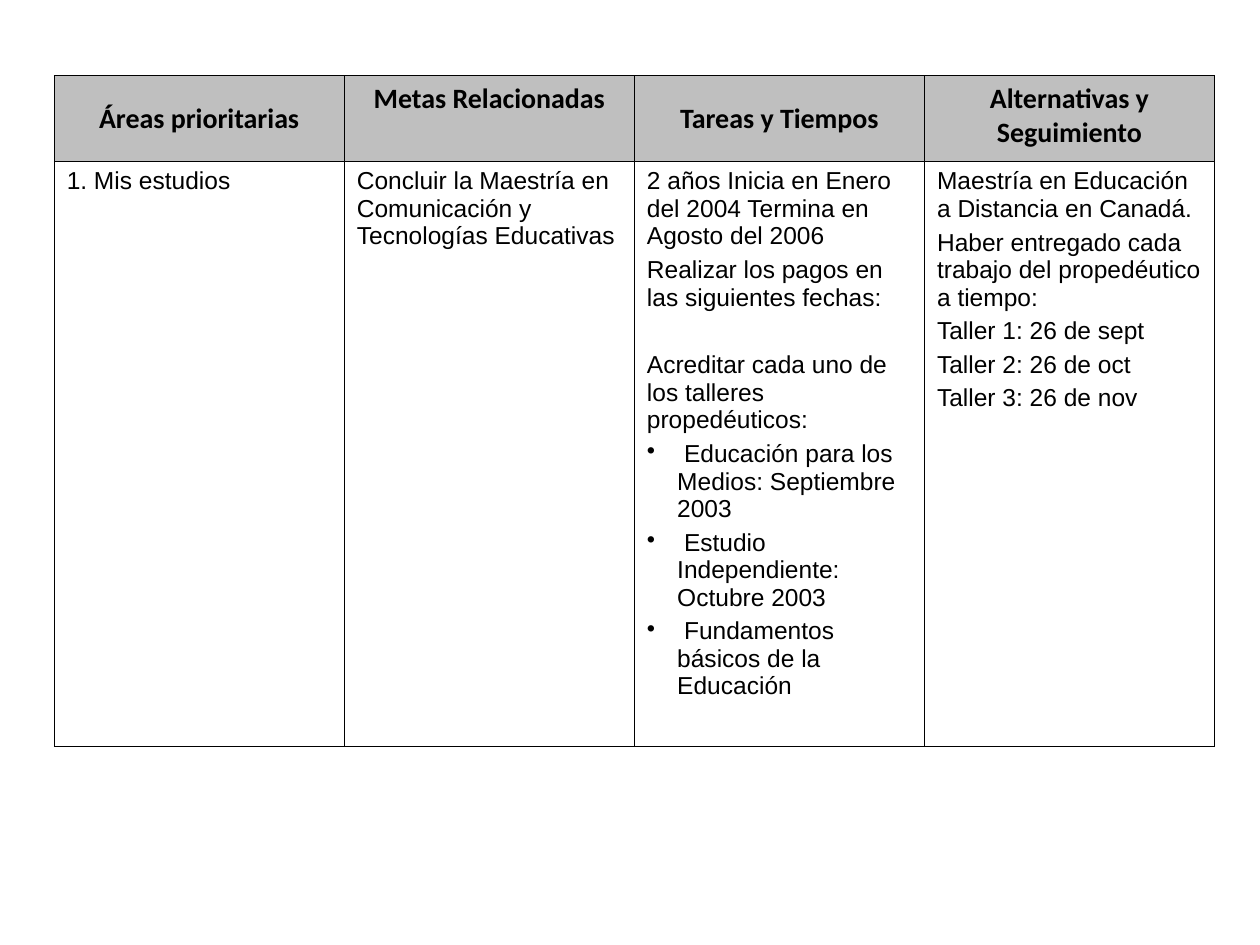
from dataclasses import dataclass

from lxml import etree
from pptx import Presentation
from pptx import util as u
from pptx.dml.color import RGBColor
from pptx.enum import text
from pptx.oxml.ns import qn


@dataclass(frozen=True)
class Theme:
    ink: str = "000000"
    heading_fill: str = "BFBFBF"
    heading_font: str = "Calibri"
    heading_size: float = 16
    body_font: str = "Arial"
    body_size: float = 14
    paragraph_gap: float = 3.5
    section_gap: float = 23
    bullet_indent: float = 0.24
    border_width: float = 0.45


@dataclass(frozen=True)
class Line:
    words: str
    bullet: bool = False
    new_section: bool = False


class PlanSlide:
    def __init__(self, slide, theme):
        self.slide = slide
        self.theme = theme

    def table(self, left, top, widths, heights):
        grid = self.slide.shapes.add_table(
            len(heights), len(widths), u.Inches(left), u.Inches(top),
            u.Inches(sum(widths)), u.Inches(sum(heights))).table
        grid.first_row = grid.horz_banding = False
        for column, width in zip(grid.columns, widths):
            column.width = u.Inches(width)
        for row, height in zip(grid.rows, heights):
            row.height = u.Inches(height)
        for cell in grid.iter_cells():
            self.borders(cell)
            cell.fill.background()
        return grid

    def borders(self, cell):
        properties = cell._tc.get_or_add_tcPr()
        for side in ("lnL", "lnR", "lnT", "lnB"):
            edge = etree.SubElement(properties, qn(f"a:{side}"),
                                    w=str(u.Pt(self.theme.border_width)))
            fill = etree.SubElement(edge, qn("a:solidFill"))
            etree.SubElement(fill, qn("a:srgbClr"), val=self.theme.ink)

    def heading(self, cell, words, anchor):
        cell.fill.solid()
        cell.fill.fore_color.rgb = RGBColor.from_string(self.theme.heading_fill)
        cell.vertical_anchor = anchor
        cell.text_frame.text = words
        paragraph = cell.text_frame.paragraphs[0]
        paragraph.alignment = text.PP_ALIGN.CENTER
        self.style(paragraph, self.theme.heading_font, self.theme.heading_size, True)

    def body(self, cell, lines):
        frame = cell.text_frame
        frame.text = "\n".join(line.words for line in lines)
        for index, (paragraph, line) in enumerate(zip(frame.paragraphs, lines)):
            if line.bullet:
                self.bullet(paragraph)
            if index:
                paragraph.space_before = u.Pt(
                    self.theme.section_gap if line.new_section
                    else self.theme.paragraph_gap)
            self.style(paragraph, self.theme.body_font, self.theme.body_size, False)

    def bullet(self, paragraph):
        properties = paragraph._p.get_or_add_pPr()
        indent = u.Inches(self.theme.bullet_indent)
        properties.set("marL", str(indent))
        properties.set("indent", str(-indent))
        color = etree.SubElement(properties, qn("a:buClr"))
        etree.SubElement(color, qn("a:srgbClr"), val=self.theme.ink)
        etree.SubElement(properties, qn("a:buChar"), char="•")

    def style(self, paragraph, font_name, size, bold):
        for run in paragraph.runs:
            run.font.name = font_name
            run.font.size = u.Pt(size)
            run.font.bold = bold
            run.font.color.rgb = RGBColor.from_string(self.theme.ink)


TOP, MIDDLE = text.MSO_ANCHOR.TOP, text.MSO_ANCHOR.MIDDLE

PLAN = [
    ("Áreas prioritarias", MIDDLE, [Line("1. Mis estudios")]),
    ("Metas Relacionadas", TOP, [
        Line("Concluir la Maestría en Comunicación y Tecnologías Educativas"),
    ]),
    ("Tareas y Tiempos", MIDDLE, [
        Line("2 años Inicia en Enero del 2004 Termina en Agosto del 2006"),
        Line("Realizar los pagos en las siguientes fechas:"),
        Line("Acreditar cada uno de los talleres propedéuticos:", new_section=True),
        Line(" Educación para los Medios: Septiembre 2003", bullet=True),
        Line(" Estudio Independiente: Octubre 2003", bullet=True),
        Line(" Fundamentos básicos de la Educación", bullet=True),
    ]),
    ("Alternativas y Seguimiento", TOP, [
        Line("Maestría en Educación a Distancia en Canadá."),
        Line("Haber entregado cada trabajo del propedéutico a tiempo:"),
        Line("Taller 1: 26 de sept"),
        Line("Taller 2: 26 de oct"),
        Line("Taller 3: 26 de nov"),
    ]),
]


def main():
    deck = Presentation()
    deck.slide_width, deck.slide_height = u.Inches(10), u.Inches(7.5)
    plan = PlanSlide(deck.slides.add_slide(deck.slide_layouts[6]), Theme())
    grid = plan.table(0.43, 0.6, [9.21 / len(PLAN)] * len(PLAN), [0.68, 4.64])
    for column, (title, anchor, lines) in enumerate(PLAN):
        plan.heading(grid.cell(0, column), title, anchor)
        plan.body(grid.cell(1, column), lines)
    deck.save("out.pptx")


if __name__ == "__main__":
    main()
